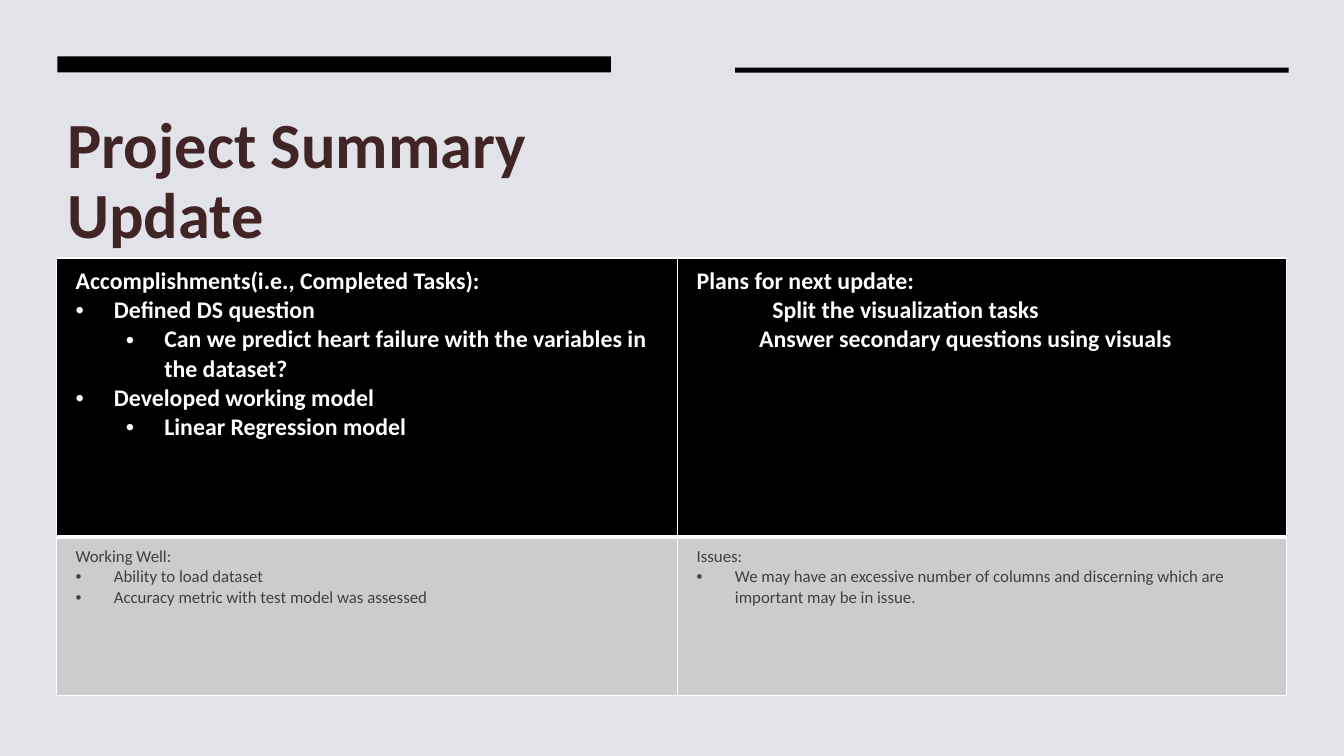
from dataclasses import dataclass

from lxml import etree
from pptx import Presentation
from pptx import util as u
from pptx.dml import color
from pptx.enum import shapes, text
from pptx.oxml import ns


@dataclass(frozen=True)
class Theme:
    font: str = "Calibri"
    backdrop: str = "E2E3E8"
    title: str = "412426"
    bar: str = "000000"
    progress_fill: str = "000000"
    progress_text: str = "FFFFFF"
    review_fill: str = "CCCCCC"
    review_text: str = "404040"
    border: str = "FFFFFF"
    title_size: int = 46
    progress_size: int = 17
    review_size: int = 12
    thin: int = 1
    thick: int = 3


@dataclass(frozen=True)
class Item:
    words: str
    margin: float = 0.38
    level: int = 0
    bullet: bool = True


class SlideBuilder:
    def __init__(self, slide, theme):
        self.slide = slide
        self.theme = theme

    def paint(self, fill, rgb):
        fill.solid()
        fill.fore_color.rgb = color.RGBColor.from_string(rgb)

    def style(self, paragraph, size, rgb, bold):
        for run in paragraph.runs:
            run.font.name = self.theme.font
            run.font.size = u.Pt(size)
            run.font.bold = bold
            run.font.color.rgb = color.RGBColor.from_string(rgb)

    def background(self):
        self.paint(self.slide.background.fill, self.theme.backdrop)

    def bar(self, left, top, width, height):
        bar = self.slide.shapes.add_shape(
            shapes.MSO_SHAPE.RECTANGLE, *map(u.Inches, (left, top, width, height)))
        bar.shadow.inherit = False
        self.paint(bar.fill, self.theme.bar)
        bar.line.fill.background()

    def title(self, words, left, top, width, height):
        box = self.slide.shapes.add_textbox(*map(u.Inches, (left, top, width, height)))
        frame = box.text_frame
        frame.word_wrap = True
        frame.vertical_anchor = text.MSO_ANCHOR.TOP
        frame.text = words
        heading = frame.paragraphs[0]
        heading.line_spacing = 0.9
        self.style(heading, self.theme.title_size, self.theme.title, True)

    def indent(self, paragraph, item):
        paragraph.level = item.level
        props = paragraph._p.get_or_add_pPr()
        props.set("marL", str(u.Inches(item.margin)))
        props.set("indent", str(u.Inches(-0.38 if item.bullet else 0)))
        if item.bullet:
            etree.SubElement(props, ns.qn("a:buFont"), typeface="Arial")
            etree.SubElement(props, ns.qn("a:buChar"), char="•")

    def borders(self, cell, widths):
        props = cell._tc.get_or_add_tcPr()
        for place, (side, width) in enumerate(widths.items()):
            line = etree.Element(ns.qn(f"a:ln{side}"), w=str(u.Pt(width)))
            fill = etree.SubElement(line, ns.qn("a:solidFill"))
            etree.SubElement(fill, ns.qn("a:srgbClr"), val=self.theme.border)
            props.insert(place, line)

    def cell(self, cell, heading, items, look, widths):
        fill, rgb, size, bold = look
        cell.margin_left, cell.margin_right = u.Inches(0.19), u.Inches(0.14)
        cell.margin_top = cell.margin_bottom = u.Inches(0.09)
        self.paint(cell.fill, fill)
        self.borders(cell, widths)
        frame = cell.text_frame
        frame.text = "\n".join([heading] + [item.words for item in items])
        for paragraph in frame.paragraphs:
            self.style(paragraph, size, rgb, bold)
        for paragraph, item in zip(frame.paragraphs[1:], items):
            self.indent(paragraph, item)

    def table(self, content, left, top, widths, heights):
        theme = self.theme
        grid = self.slide.shapes.add_table(
            len(heights), len(widths), u.Inches(left), u.Inches(top),
            u.Inches(sum(widths)), u.Inches(sum(heights))).table
        for column, width in zip(grid.columns, widths):
            column.width = u.Inches(width)
        for row, height in zip(grid.rows, heights):
            row.height = u.Inches(height)
        thin, thick = theme.thin, theme.thick
        looks = [
            ((theme.progress_fill, theme.progress_text, theme.progress_size, True),
             {"L": thin, "R": thin, "T": thin, "B": thick}),
            ((theme.review_fill, theme.review_text, theme.review_size, False),
             {"L": thin, "R": thin, "T": thick, "B": thin}),
        ]
        for row, (cells, (look, edges)) in enumerate(zip(content, looks)):
            for column, (heading, items) in enumerate(cells):
                self.cell(grid.cell(row, column), heading, items, look, edges)


SUMMARY = [
    [
        ("Accomplishments(i.e., Completed Tasks):", [
            Item("Defined DS question"),
            Item("Can we predict heart failure with the variables in the dataset?", 0.88, 1),
            Item("Developed working model"),
            Item("Linear Regression model", 0.88, 1),
        ]),
        ("Plans for next update:", [
            Item("Split the visualization tasks", 0.75, bullet=False),
            Item("Answer secondary questions using visuals", 0.62, bullet=False),
        ]),
    ],
    [
        ("Working Well:", [
            Item("Ability to load dataset"),
            Item("Accuracy metric with test model was assessed"),
        ]),
        ("Issues:", [
            Item("We may have an excessive number of columns and discerning "
                 "which are important may be in issue."),
        ]),
    ],
]


def main():
    deck = Presentation()
    deck.slide_width, deck.slide_height = u.Inches(13.33), u.Inches(7.5)
    builder = SlideBuilder(deck.slides.add_slide(deck.slide_layouts[6]), Theme())
    builder.background()
    builder.title("Project Summary Update", 0.57, 1.07, 5.49, 1.87)
    builder.bar(0.57, 0.56, 5.49, 0.16)
    builder.bar(7.29, 0.67, 5.49, 0.05)
    builder.table(SUMMARY, 0.56, 2.56, [6.16, 6.04], [2.77, 1.57])
    deck.save("out.pptx")


if __name__ == "__main__":
    main()
